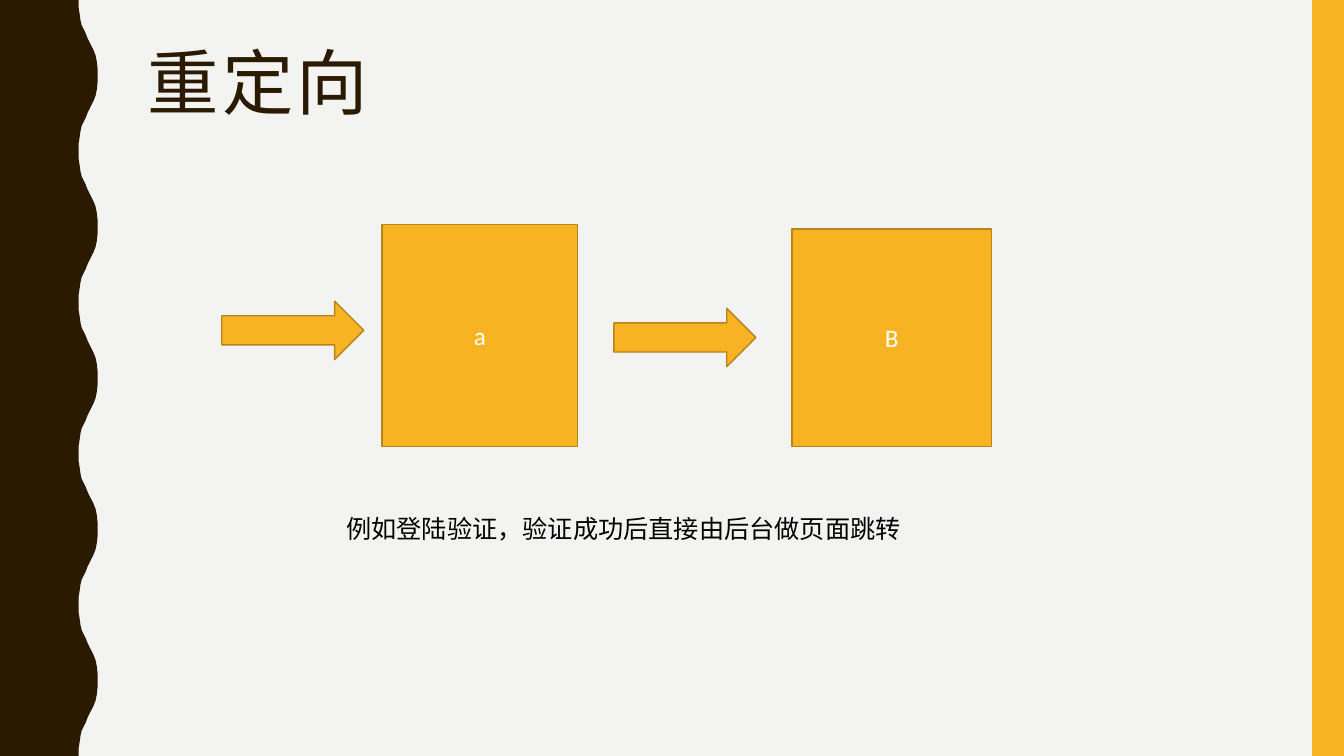
from dataclasses import dataclass

from pptx import Presentation
from pptx import util as u
from pptx.dml.color import RGBColor
from pptx.enum import shapes, text


@dataclass(frozen=True)
class Theme:
    paper: RGBColor = RGBColor.from_string("F3F3F2")
    brown: RGBColor = RGBColor.from_string("2A1A00")
    amber: RGBColor = RGBColor.from_string("F8B323")
    outline: RGBColor = RGBColor.from_string("B7841A")
    white: RGBColor = RGBColor.from_string("FFFFFF")
    black: RGBColor = RGBColor.from_string("000000")
    title_font: str = "Roboto Condensed"
    body_font: str = "Calibri"
    title_size: u.Pt = u.Pt(51)
    body_size: u.Pt = u.Pt(18)


theme = Theme()
WIDTH, HEIGHT = 33.87, 19.05


def paint(shape, fill, line=None):
    shape.shadow.inherit = False
    shape.fill.solid()
    shape.fill.fore_color.rgb = fill
    if line is None:
        shape.line.fill.background()
    else:
        shape.line.color.rgb = line
        shape.line.width = u.Pt(1)


def write(paragraph, words, font, size, color):
    run = paragraph.add_run()
    run.text = words
    run.font.name = font
    run.font.size = size
    run.font.color.rgb = color
    return run


prs = Presentation()
prs.slide_width, prs.slide_height = u.Cm(WIDTH), u.Cm(HEIGHT)
slide = prs.slides.add_slide(prs.slide_layouts[6])
slide.background.fill.solid()
slide.background.fill.fore_color.rgb = theme.paper

# Wavy left edge: half a wave, mirrored and repeated down the slide
WAVE_COUNT = 5
wave_height = HEIGHT / WAVE_COUNT
rising = [(1.98, 0), (1.98, 0.18), (2.01, 0.36), (2.03, 0.51), (2.06, 0.64),
          (2.11, 0.74), (2.16, 0.84), (2.21, 0.97), (2.26, 1.07), (2.31, 1.17),
          (2.36, 1.27), (2.41, 1.4), (2.44, 1.55), (2.46, 1.73), (2.46, 1.9)]
falling = [(x, wave_height - y) for x, y in reversed(rising)]
edge = [(u.Cm(x), u.Cm(y + wave * wave_height))
        for wave in range(WAVE_COUNT) for x, y in rising + falling]
builder = slide.shapes.build_freeform(0, 0)
builder.add_line_segments(edge + [(0, u.Cm(HEIGHT))], close=True)
paint(builder.convert_to_shape(), theme.brown)

right_band = slide.shapes.add_shape(
    shapes.MSO_SHAPE.RECTANGLE, u.Cm(33.07), 0, u.Cm(0.8), u.Cm(HEIGHT))
paint(right_band, theme.amber)

title = slide.shapes.add_textbox(u.Cm(3.48), u.Cm(1.07), u.Cm(28.27), u.Cm(4.14))
title.text_frame.word_wrap = True
heading = title.text_frame.paragraphs[0]
heading.line_spacing = 0.9
heading_run = write(heading, "重定向", theme.title_font, theme.title_size, theme.brown)
heading_run.font._element.set("spc", "200")

# Pages of the redirect
for label, left, top, width, height in [("a", 9.63, 5.66, 4.93, 5.59),
                                        ("B", 19.96, 5.77, 5.03, 5.49)]:
    page = slide.shapes.add_shape(
        shapes.MSO_SHAPE.RECTANGLE, u.Cm(left), u.Cm(top), u.Cm(width), u.Cm(height))
    paint(page, theme.amber, theme.outline)
    page.text_frame.vertical_anchor = text.MSO_ANCHOR.MIDDLE
    paragraph = page.text_frame.paragraphs[0]
    paragraph.alignment = text.PP_ALIGN.CENTER
    write(paragraph, label, theme.body_font, theme.body_size, theme.white)

for left, top in [(5.59, 7.59), (15.47, 7.77)]:
    arrow = slide.shapes.add_shape(
        shapes.MSO_SHAPE.RIGHT_ARROW, u.Cm(left), u.Cm(top), u.Cm(3.58), u.Cm(1.47))
    paint(arrow, theme.amber, theme.outline)

caption = slide.shapes.add_textbox(u.Cm(8.48), u.Cm(12.8), u.Cm(19.61), u.Cm(1.03))
caption.text_frame.word_wrap = True
caption.text_frame.auto_size = text.MSO_AUTO_SIZE.SHAPE_TO_FIT_TEXT
write(caption.text_frame.paragraphs[0], "例如登陆验证，验证成功后直接由后台做页面跳转",
      theme.body_font, theme.body_size, theme.black)

prs.save("out.pptx")
